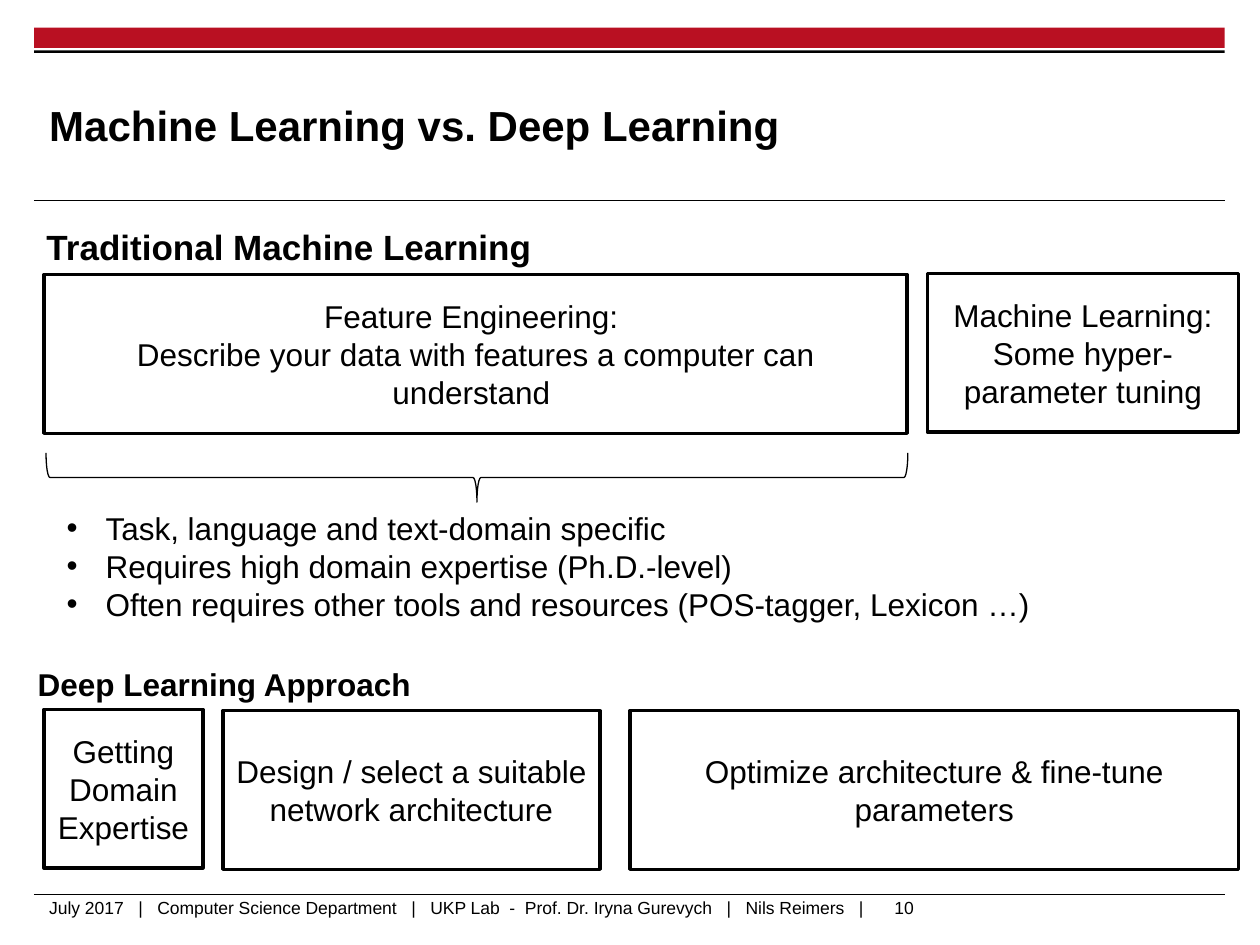
from pptx import Presentation
from pptx import util as u
from pptx.dml.color import RGBColor
from pptx.enum import shapes, text
from pptx.oxml import parse_xml
from pptx.oxml.ns import nsdecls
from lxml import etree

Inches, Pt = u.Inches, u.Pt
THEME = {
    "font": "Arial",
    "ink": RGBColor(0x00, 0x00, 0x00),
    "paper": RGBColor(0xFF, 0xFF, 0xFF),
    "accent": RGBColor(0xB9, 0x10, 0x22),
    "title": Pt(24),
    "heading": Pt(20),
    "body": Pt(18),
    "footer": Pt(10),
}


def add_lines(paragraph, lines, size, bold=False):
    for index, line in enumerate(lines):
        if index:
            paragraph.add_line_break()
        run = paragraph.add_run()
        run.text = line
        run.font.name = THEME["font"]
        run.font.size = size
        run.font.bold = bold
        run.font.color.rgb = THEME["ink"]


def add_label(place, line, size, bold=False, inset=True, wrap=True):
    box = slide.shapes.add_textbox(*map(Inches, place))
    frame = box.text_frame
    frame.word_wrap = wrap
    if not inset:
        frame.margin_left = frame.margin_right = frame.margin_top = frame.margin_bottom = 0
    add_lines(frame.paragraphs[0], [line], size, bold)
    return frame


presentation = Presentation()
presentation.slide_width = Inches(10)
presentation.slide_height = Inches(7.5)
slide = presentation.slides.add_slide(presentation.slide_layouts[5])

for top, height, color in [(0.22, 0.16, "accent"), (0.4, 0.02, "ink")]:
    bar = slide.shapes.add_shape(
        shapes.MSO_SHAPE.RECTANGLE, Inches(0.27), Inches(top), Inches(9.45), Inches(height)
    )
    bar.shadow.inherit = False
    bar.fill.solid()
    bar.fill.fore_color.rgb = THEME[color]
    bar.line.fill.background()

for top in (1.59, 7.1):
    rule = slide.shapes.add_connector(
        shapes.MSO_CONNECTOR.STRAIGHT, Inches(0.27), Inches(top), Inches(9.72), Inches(top)
    )
    rule.line.color.rgb = THEME["ink"]
    rule.line.width = Pt(0.6)
    etree.SubElement(
        rule._element.spPr, "{http://schemas.openxmlformats.org/drawingml/2006/main}effectLst"
    )

title = slide.shapes.title
title.left, title.top, title.width, title.height = map(Inches, (0.39, 0.53, 7.52, 0.92))
frame = title.text_frame
frame.margin_left = frame.margin_right = frame.margin_top = frame.margin_bottom = 0
frame.auto_size = text.MSO_AUTO_SIZE.NONE
frame.vertical_anchor = text.MSO_ANCHOR.MIDDLE
frame.paragraphs[0].alignment = text.PP_ALIGN.LEFT
add_lines(frame.paragraphs[0], ["Machine Learning vs. Deep Learning"], THEME["title"], True)

add_label((0.27, 1.74, 9.45, 0.42), "Traditional Machine Learning", THEME["heading"], True)
add_label((0.2, 5.23, 5.98, 0.4), "Deep Learning Approach", THEME["body"], True)

steps = [
    (0.35, 2.18, 6.85, ["Feature Engineering: ", "Describe your data with features a computer can understand "]),
    (7.36, 2.17, 2.47, ["Machine Learning:", "Some hyper-parameter tuning"]),
    (0.35, 5.63, 1.26, ["Getting Domain Expertise"]),
    (1.77, 5.64, 2.99, ["Design / select a suitable network architecture"]),
    (5, 5.64, 4.83, ["Optimize architecture & fine-tune parameters"]),
]
for left, top, width, lines in steps:
    step = slide.shapes.add_shape(
        shapes.MSO_SHAPE.RECTANGLE, Inches(left), Inches(top), Inches(width), Inches(1.26)
    )
    step.shadow.inherit = False
    step.fill.solid()
    step.fill.fore_color.rgb = THEME["paper"]
    step.line.color.rgb = THEME["ink"]
    step.line.width = Pt(2)
    frame = step.text_frame
    frame.word_wrap = True
    frame.vertical_anchor = text.MSO_ANCHOR.MIDDLE
    frame.paragraphs[0].alignment = text.PP_ALIGN.CENTER
    add_lines(frame.paragraphs[0], lines, THEME["body"])

brace = slide.shapes.add_shape(
    shapes.MSO_SHAPE.RIGHT_BRACE, Inches(3.59), Inches(0.37), Inches(0.39), Inches(6.84)
)
brace.rotation = 90
brace.adjustments[0] = 0.08
brace.adjustments[1] = 0.5
brace.shadow.inherit = False
brace.fill.background()
brace.line.color.rgb = THEME["ink"]
brace.line.width = Pt(0.75)

drawbacks = [
    "Task, language and text-domain specific",
    "Requires high domain expertise (Ph.D.-level)",
    "Often requires other tools and resources (POS-tagger, Lexicon …)",
]
frame = add_label((0.43, 3.99, 9.4, 1.01), drawbacks[0], THEME["body"])
for drawback in drawbacks[1:]:
    add_lines(frame.add_paragraph(), [drawback], THEME["body"])
for paragraph in frame.paragraphs:
    properties = paragraph._p.get_or_add_pPr()
    properties.set("marL", str(Inches(0.31)))
    properties.set("indent", str(-Inches(0.31)))
    properties.append(parse_xml(f'<a:buFont {nsdecls("a")} typeface="{THEME["font"]}"/>'))
    properties.append(parse_xml(f'<a:buChar {nsdecls("a")} char="•"/>'))

add_label(
    (0.39, 7.12, 8.7, 0.25),
    "July 2017   |   Computer Science Department   |   UKP Lab  -  Prof. Dr. Iryna Gurevych   |   Nils Reimers   |",
    THEME["footer"],
    inset=False,
)
add_label((7, 7.07, 0.48, 0.27), "10", THEME["footer"], wrap=False)

presentation.save("out.pptx")
